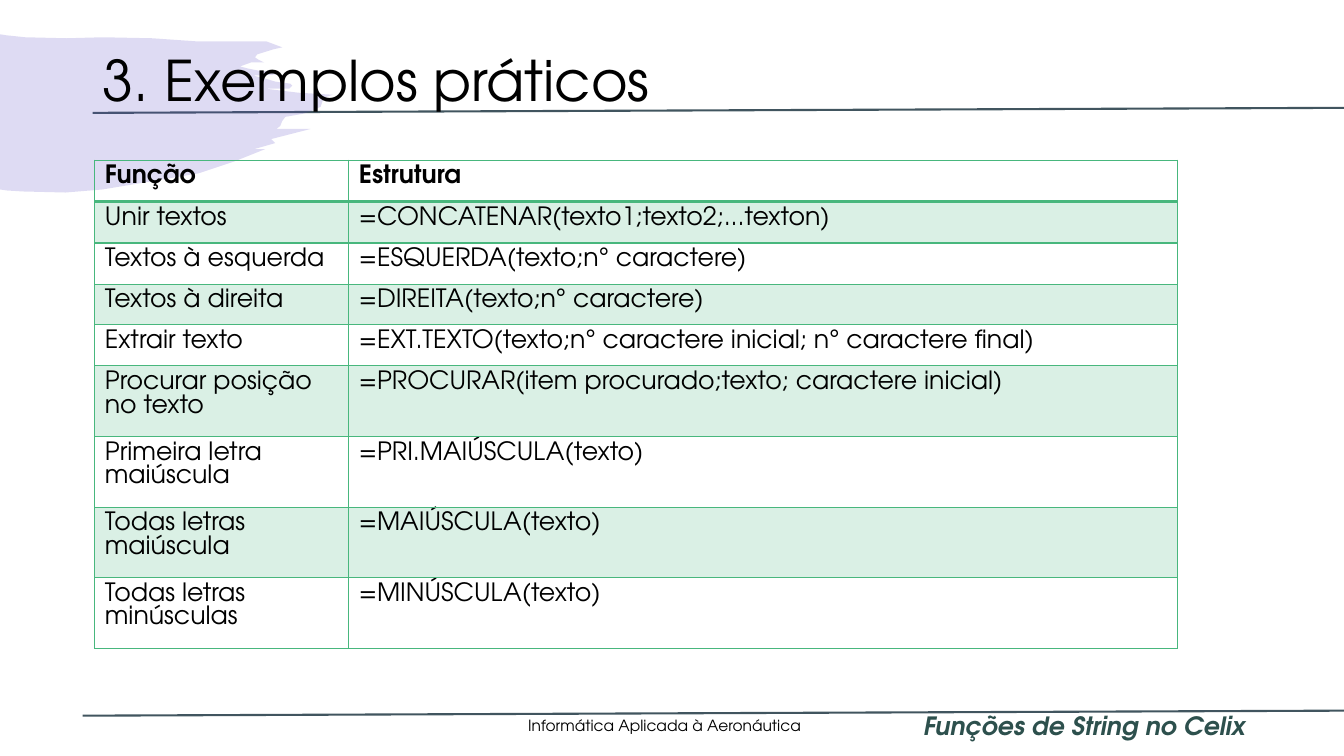
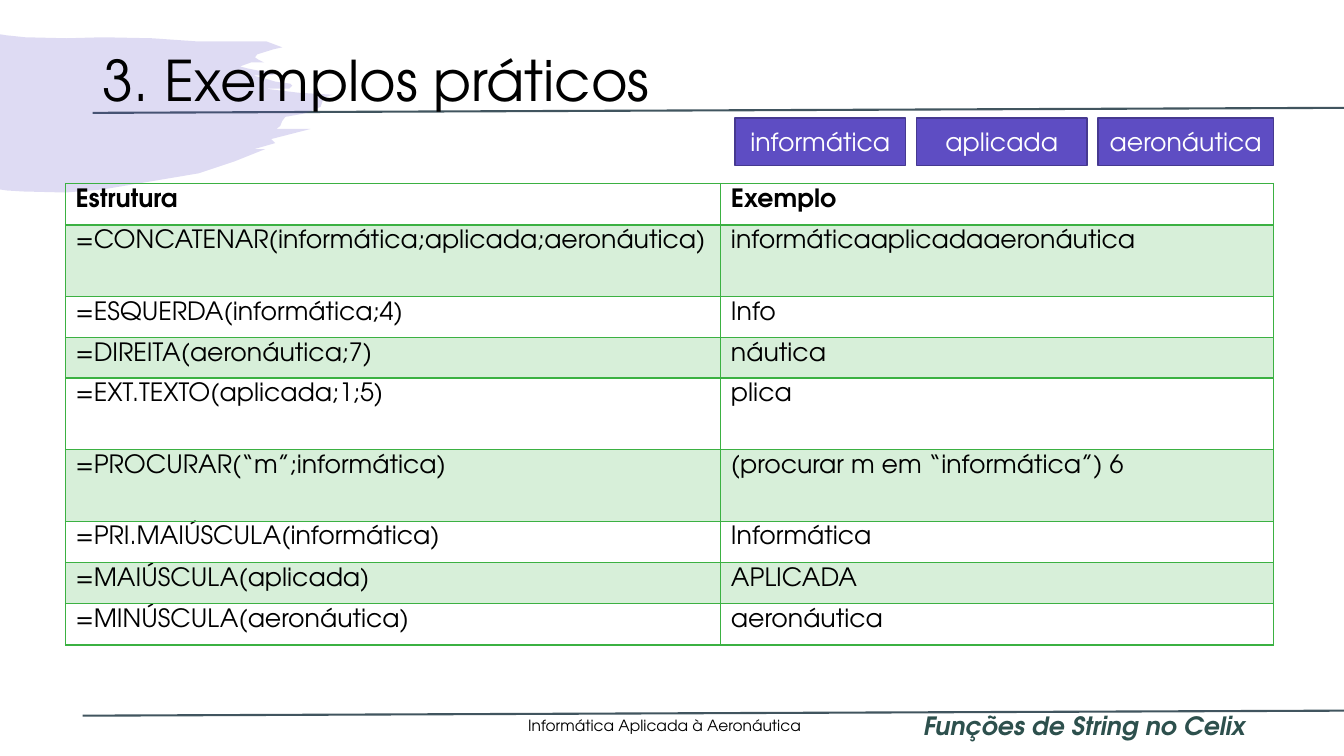
from pptx import Presentation
from pptx.dml.color import RGBColor
from pptx.enum.shapes import MSO_CONNECTOR, MSO_SHAPE
from pptx.enum.text import MSO_ANCHOR, PP_ALIGN
from pptx.oxml.ns import qn
from pptx.util import Inches, Pt
from lxml.etree import SubElement

FONT = "TeX Gyre Adventor"
BLACK = RGBColor(0x00, 0x00, 0x00)
WHITE = RGBColor(0xFF, 0xFF, 0xFF)
TEAL = RGBColor(0x2D, 0x50, 0x4D)
SLATE = RGBColor(0x41, 0x55, 0x5F)
PURPLE = RGBColor(0x5E, 0x4D, 0xC3)
INDIGO = RGBColor(0x46, 0x39, 0x90)
MINT = RGBColor(0x48, 0xB7, 0x7D)
GREEN = RGBColor(0x3B, 0xB1, 0x42)

BODY = {"name": FONT, "size": Pt(18), "bold": False}
HEAD = {**BODY, "bold": True}
TITLE = {**BODY, "size": Pt(40)}
SMALL = {**BODY, "size": Pt(11)}
TOPIC = {**HEAD, "italic": True}

LABELS = [
    ("3. Exemplos práticos", (0.92, 0.34, 11.5, 0.98), TITLE, BLACK,
     MSO_ANCHOR.MIDDLE, 0.9),
    ("Informática Aplicada à Aeronáutica", (5.14, 7.06, 3.34, 0.29), SMALL, BLACK,
     MSO_ANCHOR.TOP, None),
    ("Funções de String no Celix", (9.06, 7, 3.69, 0.4), TOPIC, TEAL,
     MSO_ANCHOR.TOP, None),
]
RULES = [(0.92, 1.12, 13.33, 1.07), (0.82, 7.1, 13.33, 7.05)]
BRUSH = [
    (0, 34), (6, 35), (25, 37), (66, 38), (102, 37), (151, 38), (194, 41),
    (248, 41), (264, 41), (280, 47), (271, 49), (255, 54), (253, 57), (256, 59),
    (262, 62), (249, 62), (238, 66), (246, 68), (256, 70), (266, 71), (275, 74),
    (251, 75), (263, 78), (273, 81), (280, 82), (288, 83), (290, 85), (287, 88),
    (284, 88), (263, 88), (296, 92), (330, 94), (321, 97), (318, 106), (307, 111),
    (300, 113), (283, 116), (280, 120), (278, 125), (274, 128), (308, 128),
    (269, 138), (273, 142), (252, 148), (263, 148), (233, 160), (197, 172),
    (102, 188), (65, 191), (23, 190), (7, 189), (0, 188),
]

PAGES = [
    {
        "spot": (0.94, 1.59), "cols": (2.52, 8.22), "hue": MINT,
        "tall": (0.41, 0.41, 0.41, 0.25, 0.41, 0.41, 0.41, 0.41, 0.41),
        "rows": [
            ("Função", "Estrutura"),
            ("Unir textos", "=CONCATENAR(texto1;texto2;...texton)"),
            ("Textos à esquerda", "=ESQUERDA(texto;n° caractere)"),
            ("Textos à direita", "=DIREITA(texto;n° caractere)"),
            ("Extrair texto",
             "=EXT.TEXTO(texto;n° caractere inicial; n° caractere final)"),
            ("Procurar posição no texto",
             "=PROCURAR(item procurado;texto; caractere inicial)"),
            ("Primeira letra maiúscula", "=PRI.MAIÚSCULA(texto)"),
            ("Todas letras maiúscula", "=MAIÚSCULA(texto)"),
            ("Todas letras minúsculas", "=MINÚSCULA(texto)"),
        ],
        "tags": [],
    },
    {
        "spot": (0.65, 1.82), "cols": (6.5, 5.48), "hue": GREEN,
        "tall": (0.41, 0.71, 0.41, 0.4, 0.71, 0.71, 0.41, 0.41, 0.41),
        "rows": [
            ("Estrutura", "Exemplo"),
            ("=CONCATENAR(informática;aplicada;aeronáutica)",
             "informáticaaplicadaaeronáutica"),
            ("=ESQUERDA(informática;4)", "Info"),
            ("=DIREITA(aeronáutica;7)", "náutica"),
            ("=EXT.TEXTO(aplicada;1;5)", "plica"),
            ("=PROCURAR(“m”;informática)", "(procurar m em “informática”) 6"),
            ("=PRI.MAIÚSCULA(informática)", "Informática"),
            ("=MAIÚSCULA(aplicada)", "APLICADA"),
            ("=MINÚSCULA(aeronáutica)", "aeronáutica"),
        ],
        "tags": [("informática", 1.69), ("aplicada", 1.69), ("aeronáutica", 1.74)],
    },
]


def write(frame, text, look, color):
    frame.word_wrap = True
    para = frame.paragraphs[0]
    run = para.add_run()
    run.text = text
    for key, val in look.items():
        setattr(run.font, key, val)
    run.font.color.rgb = color
    return para


def tint(fill, color, node):
    fill.solid()
    fill.fore_color.rgb = color
    SubElement(node.find(qn("a:solidFill"))[0], qn("a:alpha"), val="20000")


deck = Presentation()
deck.slide_width = Inches(13.33)
deck.slide_height = Inches(7.5)

for page in PAGES:
    slide = deck.slides.add_slide(deck.slide_layouts[6])
    shapes = slide.shapes

    for ends in RULES:
        rule = shapes.add_connector(MSO_CONNECTOR.STRAIGHT, *map(Inches, ends))
        rule.line.color.rgb = SLATE
        rule.line.width = Pt(1.5)
        SubElement(rule.element.spPr, qn("a:effectLst"))

    pen = shapes.build_freeform(*BRUSH[0], scale=9144)
    pen.add_line_segments(BRUSH[1:], close=True)
    brush = pen.convert_to_shape()
    brush.shadow.inherit = False
    brush.line.fill.background()
    tint(brush.fill, PURPLE, brush.element.spPr)

    for text, area, look, color, anchor, space in LABELS:
        frame = shapes.add_textbox(*map(Inches, area)).text_frame
        frame.vertical_anchor = anchor
        write(frame, text, look, color).line_spacing = space

    rows, cols, tall, hue = page["rows"], page["cols"], page["tall"], page["hue"]
    size = (sum(cols), sum(tall))
    table = shapes.add_table(
        len(rows), len(cols), *map(Inches, page["spot"] + size)).table
    table.first_row = table.horz_banding = False
    for col, width in zip(table.columns, cols):
        col.width = Inches(width)
    for i, words in enumerate(rows):
        table.rows[i].height = Inches(tall[i])
        for j, text in enumerate(words):
            cell = table.cell(i, j)
            write(cell.text_frame, text, BODY if i else HEAD, BLACK)
            props = cell._tc.get_or_add_tcPr()
            for side in ("lnL", "lnR", "lnT", "lnB"):
                thick = (i, side) in ((0, "lnB"), (1, "lnT"))
                edge = SubElement(props, qn("a:" + side), w=str(Pt(2 if thick else 1)))
                paint = SubElement(edge, qn("a:solidFill"))
                SubElement(paint, qn("a:srgbClr"), val=str(hue))
            if i % 2:
                tint(cell.fill, hue, props)
            else:
                cell.fill.background()

    for i, (text, width) in enumerate(page["tags"]):
        area = (7.29 + 1.8 * i, 1.17, width, 0.47)
        tag = shapes.add_shape(MSO_SHAPE.RECTANGLE, *map(Inches, area))
        tag.shadow.inherit = False
        tag.fill.solid()
        tag.fill.fore_color.rgb = PURPLE
        tag.line.color.rgb = INDIGO
        tag.line.width = Pt(1)
        tag.text_frame.vertical_anchor = MSO_ANCHOR.MIDDLE
        write(tag.text_frame, text, BODY, WHITE).alignment = PP_ALIGN.CENTER

deck.save("out.pptx")
